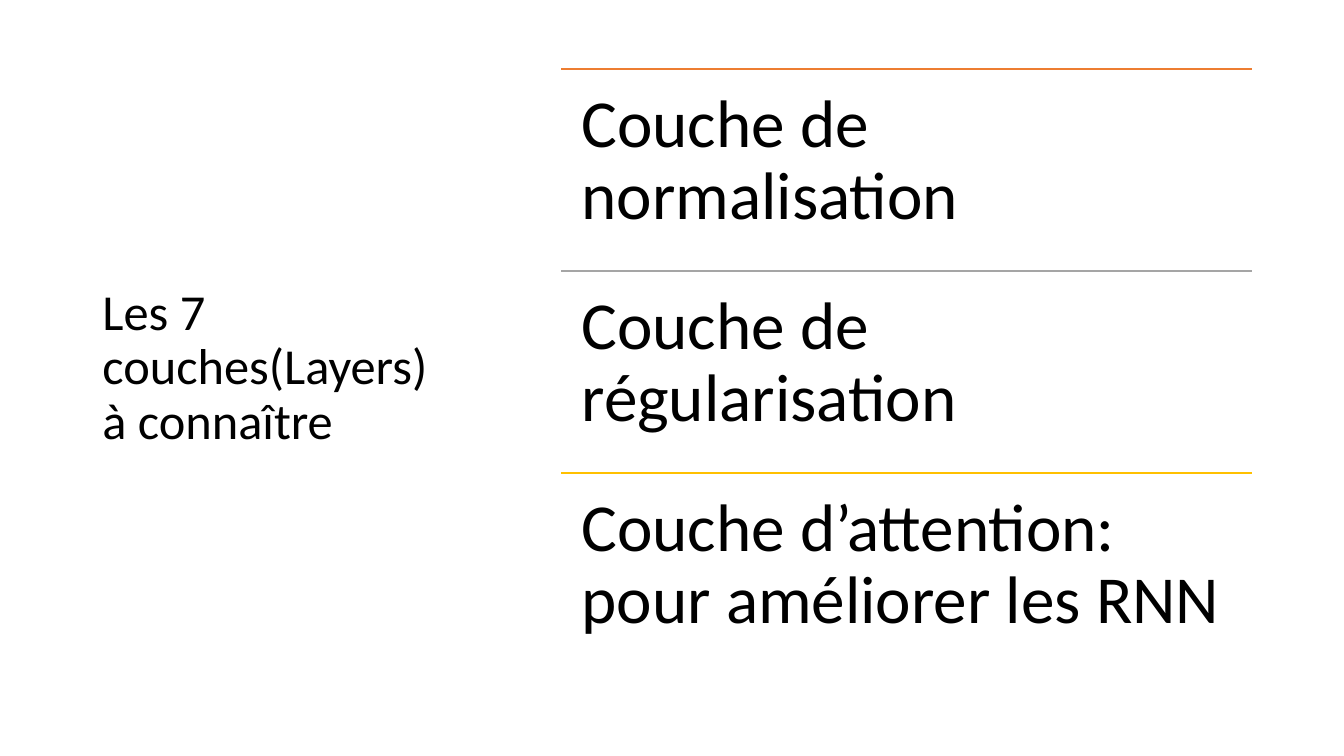
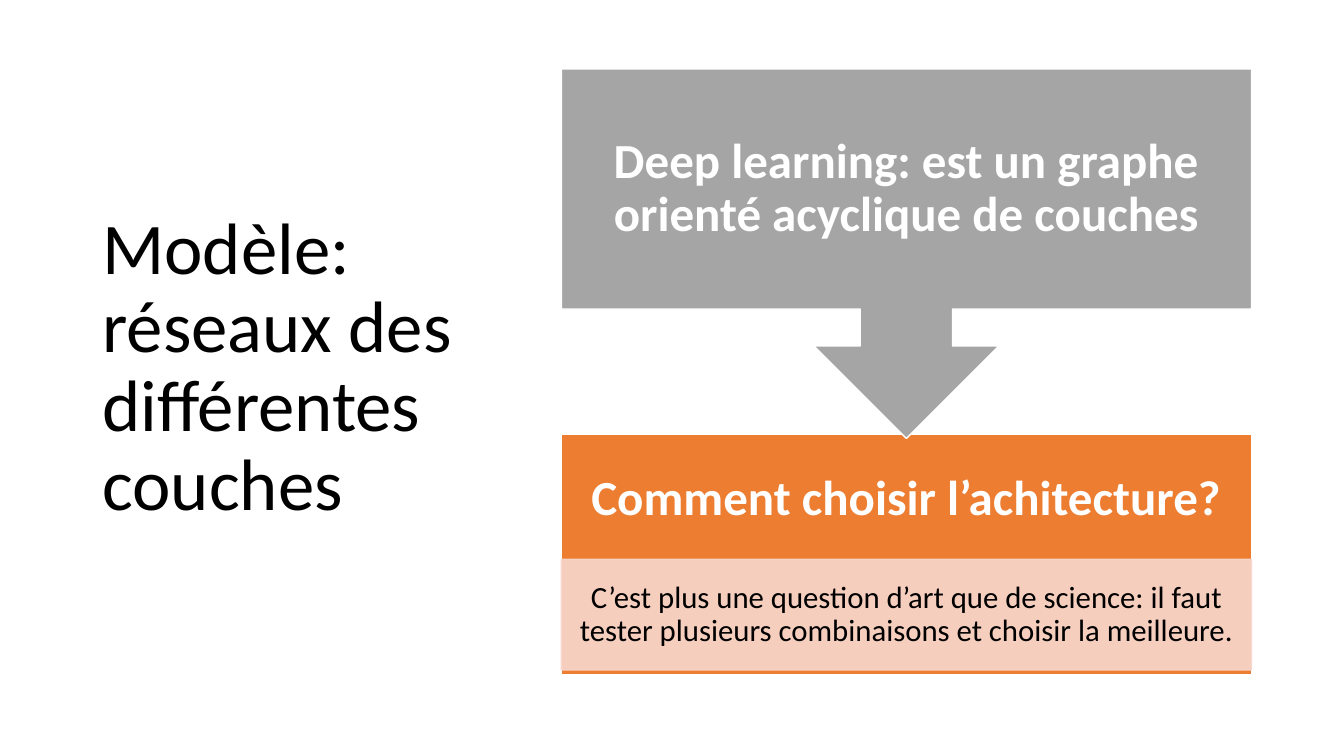
from dataclasses import dataclass

from lxml import etree
from pptx import Presentation
from pptx.dml.color import RGBColor
from pptx.enum.shapes import MSO_CONNECTOR, MSO_SHAPE
from pptx.enum.text import MSO_ANCHOR, MSO_AUTO_SIZE, PP_ALIGN
from pptx.oxml.ns import qn
from pptx.util import Pt

LEFT, CENTER = PP_ALIGN.LEFT, PP_ALIGN.CENTER
TOP, MIDDLE = MSO_ANCHOR.TOP, MSO_ANCHOR.MIDDLE
NO_FIT = MSO_AUTO_SIZE.NONE
STRAIGHT = MSO_CONNECTOR.STRAIGHT
RECTANGLE, DOWN_CALLOUT = MSO_SHAPE.RECTANGLE, MSO_SHAPE.DOWN_ARROW_CALLOUT
TITLE_ONLY = 5


@dataclass(frozen=True)
class Theme:
    font: str = "Calibri"
    black: str = "000000"
    white: str = "FFFFFF"
    orange: str = "ED7D31"
    gray: str = "A5A5A5"
    gold: str = "FFC000"
    peach: str = "F8D7CE"
    title_small: int = 36
    title_large: int = 52
    item: int = 48
    heading: int = 35
    detail: int = 22
    line_spacing: float = 0.9
    line_width: int = 1


THEME = Theme()
PANEL_LEFT, PANEL_TOP, PANEL_WIDTH, PANEL_HEIGHT = 401, 49.2, 493, 432.8
TITLE_AREA = (66, 44, 265.5, 438.5)


class SlideBuilder:
    def __init__(self, deck, theme):
        self.deck = deck
        self.theme = theme
        self.slide = None

    def new_slide(self, title, size):
        layout = self.deck.slide_layouts[TITLE_ONLY]
        self.slide = self.deck.slides.add_slide(layout)
        box = self.slide.shapes.title
        box.left, box.top, box.width, box.height = map(Pt, TITLE_AREA)
        self.set_text(box, title, size, self.theme.black)

    def set_text(self, box, text, size, color, align=LEFT, anchor=MIDDLE, bold=False, insets=None):
        frame = box.text_frame
        frame.word_wrap = True
        frame.auto_size = NO_FIT
        frame.vertical_anchor = anchor
        if insets:
            (frame.margin_left, frame.margin_top,
             frame.margin_right, frame.margin_bottom) = map(Pt, insets)
        para = frame.paragraphs[0]
        para.alignment = align
        para.line_spacing = self.theme.line_spacing
        span = para.add_run()
        span.text = text
        span.font.name = self.theme.font
        span.font.size = Pt(size)
        span.font.bold = bold
        span.font.color.rgb = RGBColor.from_string(color)

    def rule(self, top, color):
        line = self.slide.shapes.add_connector(
            STRAIGHT, Pt(PANEL_LEFT), Pt(top), Pt(PANEL_LEFT + PANEL_WIDTH), Pt(top))
        line.line.color.rgb = RGBColor.from_string(color)
        line.line.width = Pt(self.theme.line_width)
        etree.SubElement(line.element.spPr, qn("a:effectLst"))

    def item(self, top, height, text):
        box = self.slide.shapes.add_textbox(
            Pt(PANEL_LEFT), Pt(top), Pt(PANEL_WIDTH), Pt(height))
        self.set_text(box, text, self.theme.item, self.theme.black,
                      anchor=TOP, insets=(14.4,) * 4)

    def block(self, kind, top, height, fill, outline, opacity=100):
        shape = self.slide.shapes.add_shape(
            kind, Pt(PANEL_LEFT), Pt(top), Pt(PANEL_WIDTH), Pt(height))
        shape.shadow.inherit = False
        shape.fill.solid()
        shape.fill.fore_color.rgb = RGBColor.from_string(fill)
        shape.line.color.rgb = RGBColor.from_string(outline)
        shape.line.width = Pt(self.theme.line_width)
        if opacity < 100:
            for color in shape.element.spPr.iter(qn("a:srgbClr")):
                etree.SubElement(color, qn("a:alpha"), val=str(opacity * 1000))
        return shape

    def heading_block(self, kind, top, height, fill, text, bottom_inset=19.6):
        shape = self.block(kind, top, height, fill, self.theme.white)
        self.set_text(shape, text, self.theme.heading, self.theme.white, CENTER,
                      bold=True, insets=(19.6, 19.6, 19.6, bottom_inset))

    def detail_band(self, top, height, text):
        peach = self.theme.peach
        shape = self.block(RECTANGLE, top, height, peach, peach, opacity=90)
        self.set_text(shape, text, self.theme.detail, self.theme.black, CENTER,
                      insets=(12.4, 2.2, 12.4, 2.2))


def build_layers(builder):
    builder.new_slide("Les 7 couches(Layers) à connaître", THEME.title_small)
    layers = (
        ("Couche de normalisation", THEME.orange),
        ("Couche de régularisation", THEME.gray),
        ("Couche d’attention: pour améliorer les RNN", THEME.gold),
    )
    height = PANEL_HEIGHT / len(layers)
    for index, (text, color) in enumerate(layers):
        top = PANEL_TOP + index * height
        builder.rule(top, color)
        builder.item(top, height, text)


def build_model(builder):
    builder.new_slide("Modèle: réseaux des différentes couches", THEME.title_large)
    builder.heading_block(RECTANGLE, 310.4, 171.4, THEME.orange,
                          "Comment choisir l’achitecture?", bottom_inset=98.4)
    builder.detail_band(
        399.6, 79,
        "C’est plus une question d’art que de science: il faut tester "
        "plusieurs combinaisons et choisir la meilleure.")
    builder.heading_block(DOWN_CALLOUT, PANEL_TOP, 264, THEME.gray,
                          "Deep learning: est un graphe orienté acyclique de couches")


def main():
    deck = Presentation()
    deck.slide_width, deck.slide_height = Pt(960), Pt(540)
    builder = SlideBuilder(deck, THEME)
    build_layers(builder)
    build_model(builder)
    deck.save("out.pptx")


if __name__ == "__main__":
    main()
